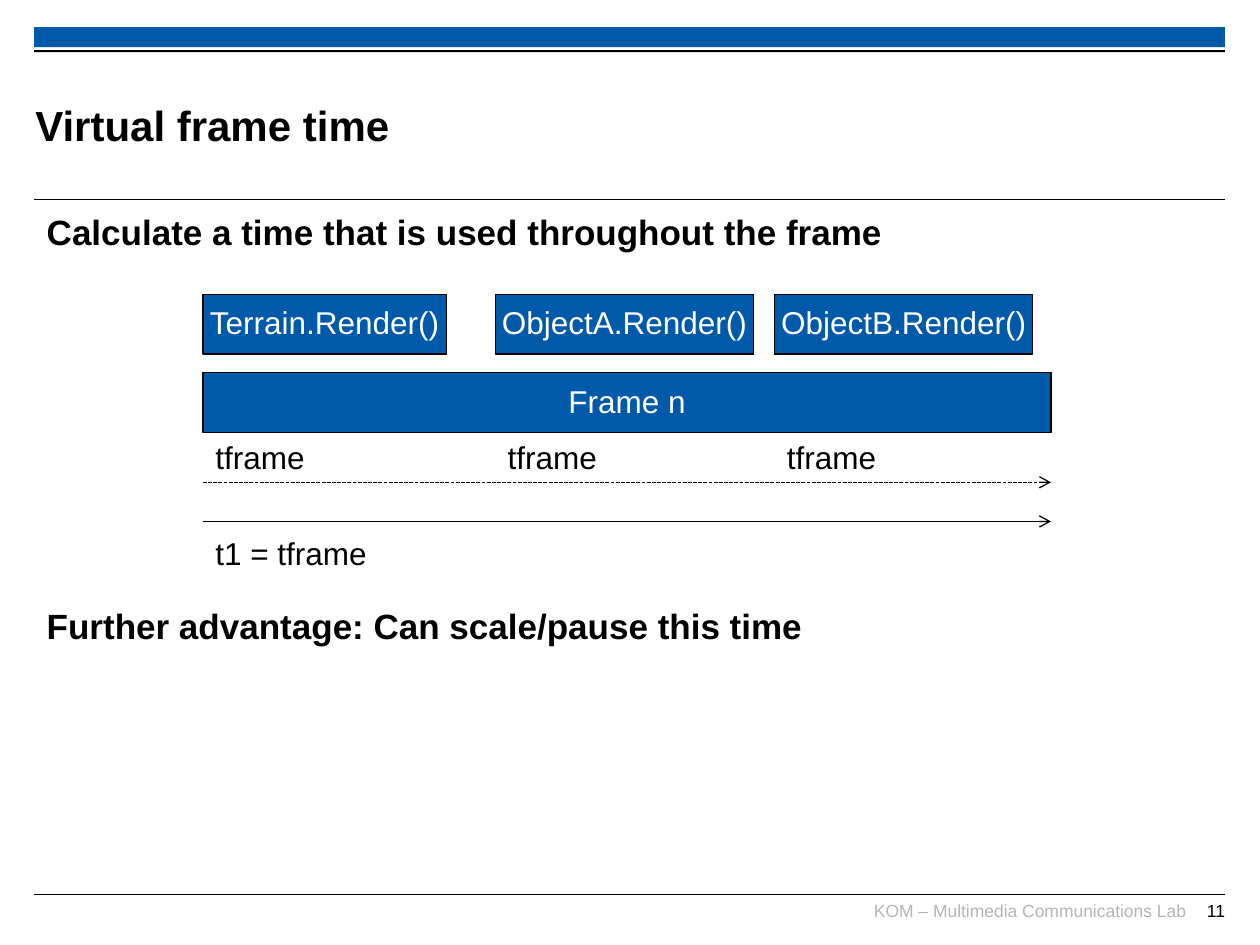
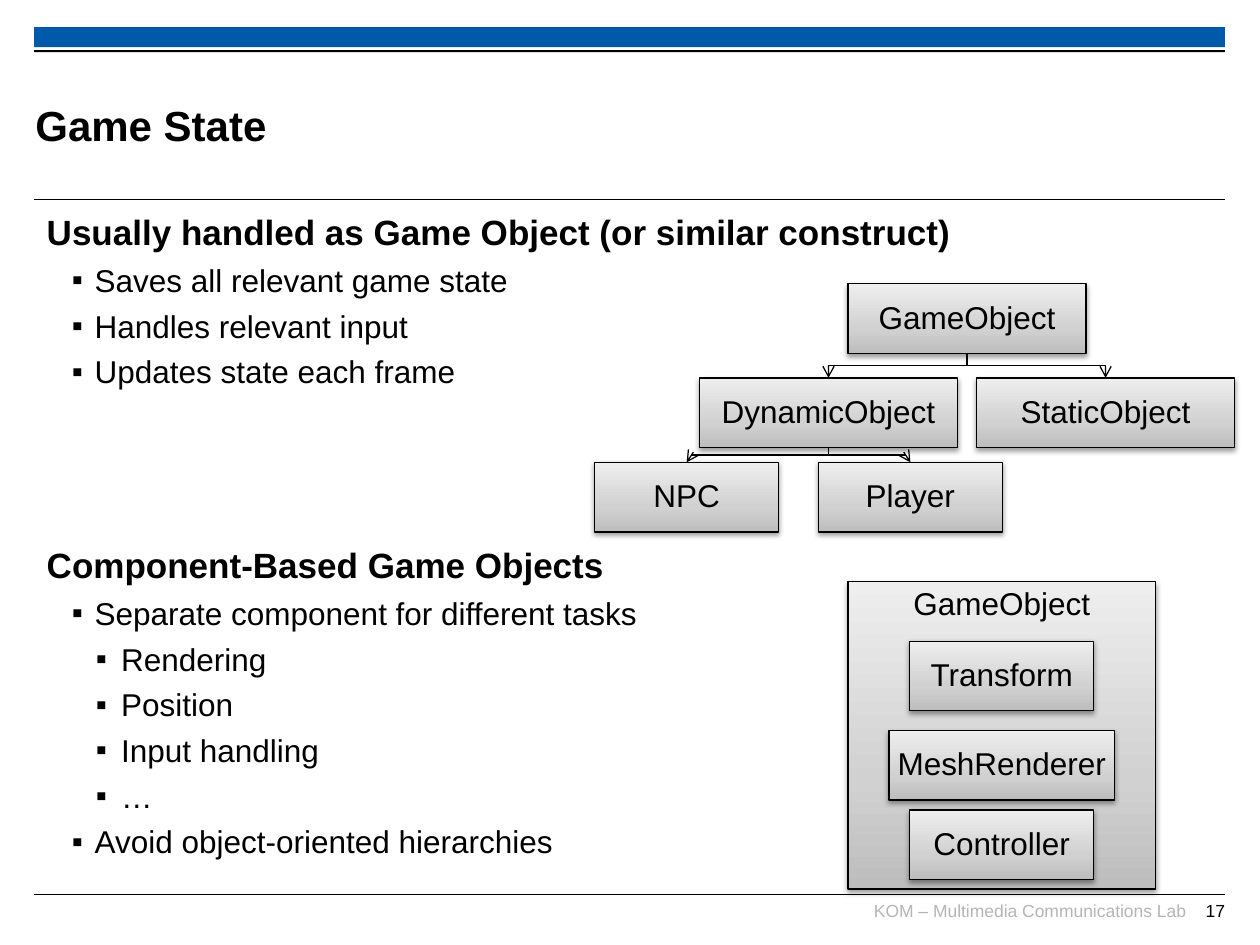
from dataclasses import dataclass

from lxml.etree import SubElement
from pptx import Presentation
from pptx.dml.color import RGBColor
from pptx.enum.dml import MSO_LINE
from pptx.enum.shapes import MSO_CONNECTOR, MSO_SHAPE
from pptx.enum.text import MSO_ANCHOR, MSO_AUTO_SIZE, PP_ALIGN
from pptx.oxml.ns import qn
from pptx.util import Pt


@dataclass(frozen=True)
class Theme:
    font: str = "Arial"
    black: str = "000000"
    white: str = "FFFFFF"
    blue: str = "005AA9"
    footer_gray: str = "B5B5B5"
    box_gradient: tuple = ((0, "BDBDBD"), (35, "D1D1D1"), (100, "EEEEEE"))
    title_size: float = 24
    heading_size: float = 20
    text_size: float = 18
    footer_size: float = 10
    thin: float = 0.6
    outline: float = 0.75


THEME = Theme()
LEFT, WIDTH = 19.5, 680.5
FOOTER = "KOM – Multimedia Communications Lab"

# Body lines: (level, text, space before in points)
ITEM_GAP = 4.5
FRAME_TIME = {
    "title": "Virtual frame time",
    "page": "11",
    "body": [
        (0, "Calculate a time that is used throughout the frame", 0),
        (0, "Further advantage: Can scale/pause this time", 201),
    ],
}
GAME_STATE = {
    "title": "Game State",
    "page": "17",
    "body": [
        (0, "Usually handled as Game Object (or similar construct)", 0),
        (1, "Saves all relevant game state", 5),
        (1, "Handles relevant input", ITEM_GAP),
        (1, "Updates state each frame", ITEM_GAP),
        (0, "Component-Based Game Objects", 87.4),
        (1, "Separate component for different tasks", 5),
        (2, "Rendering", ITEM_GAP),
        (2, "Position", ITEM_GAP),
        (2, "Input handling", ITEM_GAP),
        (2, "…", ITEM_GAP),
        (1, "Avoid object-oriented hierarchies", ITEM_GAP),
    ],
}
# Left indent and hanging indent of each level
INDENTS = [(14.2, 14.2), (27.4, 13), (42.5, 14.4)]

# Timeline: (text, left, width)
RENDER_CALLS = [
    ("Terrain.Render()", 116, 139),
    ("ObjectA.Render()", 283, 147.6),
    ("ObjectB.Render()", 442.6, 147.6),
]
TIMELINE_LEFT, TIMELINE_WIDTH = 116, 484.6

# Class tree: name -> (left, top, width, parent)
CLASS_TREE = {
    "GameObject": (484.6, 162.2, 136, None),
    "DynamicObject": (399.6, 216, 147.6, "GameObject"),
    "StaticObject": (558, 216, 147.6, "GameObject"),
    "NPC": (339.8, 264.2, 105.2, "DynamicObject"),
    "Player": (467.6, 264.2, 105.2, "DynamicObject"),
}
CLASS_HEIGHT = 39.8
CONTAINER = (484.6, 332.4, 175.7, 175.7)
COMPONENTS = [  # (text, top, width)
    ("Transform", 366.4, 105.2),
    ("MeshRenderer", 417.4, 129),
    ("Controller", 462.8, 105.2),
]


def color(value):
    return RGBColor.from_string(value)


def write(para, text, *, size=THEME.text_size, ink=THEME.black, bold=False,
          align=PP_ALIGN.LEFT, spacing=None, before=0):
    para.alignment = align
    para.space_before = Pt(before)
    if spacing:
        para.line_spacing = spacing
    span = para.add_run()
    span.text = text
    span.font.name = THEME.font
    span.font.size = Pt(size)
    span.font.bold = bold
    span.font.color.rgb = color(ink)


def place(box, left, top, width, height):
    box.left, box.top, box.width, box.height = map(Pt, (left, top, width, height))


def clear_margins(frame):
    frame.margin_left = frame.margin_right = frame.margin_top = frame.margin_bottom = 0


def add_label(page, text, left, top, width, height, *, margins=True, **style):
    box = page.shapes.add_textbox(Pt(left), Pt(top), Pt(width), Pt(height))
    frame = box.text_frame
    frame.word_wrap = not margins
    if not margins:
        clear_margins(frame)
    write(frame.paragraphs[0], text, **style)


def add_rectangle(page, left, top, width, height, fill=None):
    box = page.shapes.add_shape(MSO_SHAPE.RECTANGLE, Pt(left), Pt(top), Pt(width), Pt(height))
    box.shadow.inherit = False
    box.line.fill.background()
    if fill:
        box.fill.solid()
        box.fill.fore_color.rgb = color(fill)
    return box


def add_box(page, text, left, top, width, height, *, fill=None, ink=THEME.black,
            anchor=MSO_ANCHOR.MIDDLE):
    """Outlined, captioned box; without a fill it gets the gray gradient and shadow."""
    box = add_rectangle(page, left, top, width, height, fill)
    box.line.color.rgb = color(THEME.black)
    box.line.width = Pt(THEME.outline)
    if fill is None:
        shade(box)
    frame = box.text_frame
    frame.word_wrap = False
    frame.vertical_anchor = anchor
    write(frame.paragraphs[0], text, ink=ink, align=PP_ALIGN.CENTER, spacing=0.93)


def add_color_xml(parent, value):
    return SubElement(parent, qn("a:srgbClr"), val=value)


def shade(box):
    box.fill.gradient()
    box.fill.gradient_angle = 90
    properties = box._element.spPr
    stops = properties.find(qn("a:gradFill")).find(qn("a:gsLst"))
    for stop in list(stops):
        stops.remove(stop)
    for position, value in THEME.box_gradient:
        add_color_xml(SubElement(stops, qn("a:gs"), pos=str(position * 1000)), value)
    shadow = SubElement(properties.find(qn("a:effectLst")), qn("a:outerShdw"),
                        blurRad=str(Pt(3.1)), dist=str(Pt(1.6)), dir="5400000",
                        rotWithShape="0")
    SubElement(add_color_xml(shadow, THEME.black), qn("a:alpha"), val="38000")


def add_line(page, start, end, *, kind=MSO_CONNECTOR.STRAIGHT, width=THEME.outline,
             arrow=False, dash=None):
    line = page.shapes.add_connector(kind, *map(Pt, (*start, *end)))
    line.line.color.rgb = color(THEME.black)
    line.line.width = Pt(width)
    if dash:
        line.line.dash_style = dash
    if arrow:
        SubElement(line.line._get_or_add_ln(), qn("a:tailEnd"), type="arrow")
    SubElement(line._element.spPr, qn("a:effectLst"))
    return line


def add_tree_arrow(page, start, end):
    """Down, across, down: a sideways elbow turned by a quarter."""
    (start_x, start_y), (end_x, end_y) = start, end
    middle_x, middle_y = (start_x + end_x) / 2, (start_y + end_y) / 2
    half_drop, half_span = (end_y - start_y) / 2, abs(end_x - start_x) / 2
    goes_left = end_x < start_x
    reach = half_drop if goes_left else -half_drop
    elbow = add_line(page, (middle_x - reach, middle_y - half_span),
                     (middle_x + reach, middle_y + half_span),
                     kind=MSO_CONNECTOR.ELBOW, arrow=True)
    elbow._element.spPr.xfrm.set("rot", str((90 if goes_left else 270) * 60000))


def add_frame(page, number):
    """Top bands, rules and footer found on every page."""
    add_rectangle(page, LEFT, 15.5, WIDTH, 11.5, THEME.blue)
    add_rectangle(page, LEFT, 28.6, WIDTH, 1.2, THEME.black)
    for y in (114.2, 511):
        add_line(page, (LEFT, y), (LEFT + WIDTH, y), width=THEME.thin)
    for text, left, width, ink in ((FOOTER, 477.6, 200, THEME.footer_gray),
                                   (number, 669, 31, THEME.black)):
        add_label(page, text, left, 514, width, 17.5, margins=False,
                  size=THEME.footer_size, ink=ink, align=PP_ALIGN.RIGHT)


def set_bullet(para, level):
    left, hanging = INDENTS[level]
    para.level = level
    properties = para._p.get_or_add_pPr()
    properties.set("marL", str(Pt(left)))
    properties.set("indent", str(-Pt(hanging)))
    if level:
        SubElement(properties, qn("a:buFont"), typeface=THEME.font)
        SubElement(properties, qn("a:buChar"), char="▪")
    else:
        SubElement(properties, qn("a:buNone"))


def add_page(deck, content):
    page = deck.slides.add_slide(deck.slide_layouts[1])
    title, body = page.shapes.title, page.placeholders[1]
    place(title, 20.2, 38.2, 541.4, 66.2)
    place(body, LEFT, 116.6, WIDTH, 391)
    for box, anchor in ((title, MSO_ANCHOR.MIDDLE), (body, MSO_ANCHOR.TOP)):
        box.text_frame.auto_size = MSO_AUTO_SIZE.NONE
        box.text_frame.vertical_anchor = anchor
    clear_margins(title.text_frame)
    write(title.text_frame.paragraphs[0], content["title"], size=THEME.title_size, bold=True)
    frame = body.text_frame
    for index, (level, text, before) in enumerate(content["body"]):
        para = frame.add_paragraph() if index else frame.paragraphs[0]
        set_bullet(para, level)
        write(para, text, before=before, bold=level == 0,
              size=THEME.text_size if level else THEME.heading_size)
    add_frame(page, content["page"])
    return page


def draw_timeline(page):
    for text, left, width in RENDER_CALLS:
        add_box(page, text, left, 168.4, width, 34, fill=THEME.blue, ink=THEME.white)
        add_label(page, "tframe", left, 248.4, 66, 27.4, spacing=0.93)
    add_box(page, "Frame n", TIMELINE_LEFT, 213, TIMELINE_WIDTH, 34,
            fill=THEME.blue, ink=THEME.white)
    for y, dash in ((275.6, MSO_LINE.SQUARE_DOT), (298, None)):
        add_line(page, (TIMELINE_LEFT, y), (TIMELINE_LEFT + TIMELINE_WIDTH, y),
                 arrow=True, dash=dash)
    add_label(page, "t1 = tframe", TIMELINE_LEFT, 303.8, 102, 27.4, spacing=0.93)


def draw_class_tree(page):
    for name, (left, top, width, _) in CLASS_TREE.items():
        add_box(page, name, left, top, width, CLASS_HEIGHT)
    for left, top, width, parent in CLASS_TREE.values():
        if parent:
            parent_left, parent_top, parent_width, _ = CLASS_TREE[parent]
            add_tree_arrow(page, (parent_left + parent_width / 2, parent_top + CLASS_HEIGHT),
                           (left + width / 2, top))


def draw_components(page):
    add_box(page, "GameObject", *CONTAINER, anchor=MSO_ANCHOR.TOP)
    center = CONTAINER[0] + CONTAINER[2] / 2
    for text, top, width in COMPONENTS:
        add_box(page, text, center - width / 2, top, width, CLASS_HEIGHT)


def main():
    deck = Presentation()
    deck.slide_width, deck.slide_height = Pt(720), Pt(540)
    draw_timeline(add_page(deck, FRAME_TIME))
    state_page = add_page(deck, GAME_STATE)
    draw_class_tree(state_page)
    draw_components(state_page)
    deck.save("out.pptx")


if __name__ == "__main__":
    main()
